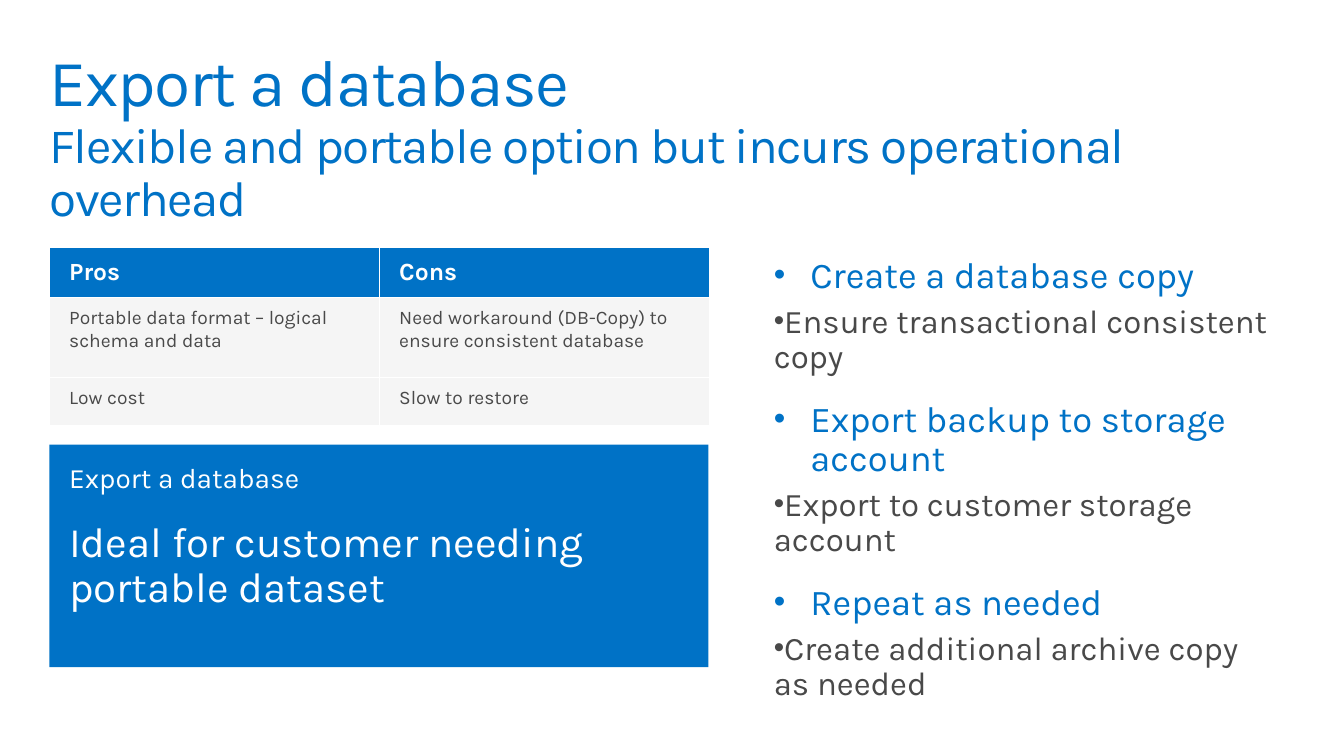
from lxml import etree
from pptx import Presentation
from pptx.dml.color import RGBColor
from pptx.enum.shapes import MSO_SHAPE
from pptx.enum.text import MSO_ANCHOR, MSO_AUTO_SIZE, PP_ALIGN
from pptx.oxml.ns import qn
from pptx.util import Pt

PX = 9144
FONT = "Karla"
BLUE = RGBColor(0x00, 0x72, 0xC6)
GRAY = RGBColor(0x49, 0x49, 0x49)
PALE = RGBColor(0xF5, 0xF5, 0xF5)
WHITE = RGBColor(0xFF, 0xFF, 0xFF)
RECT = MSO_SHAPE.RECTANGLE
TOP, MIDDLE = MSO_ANCHOR.TOP, MSO_ANCHOR.MIDDLE
LEFT = PP_ALIGN.LEFT
NO_FIT = MSO_AUTO_SIZE.NONE


def write(p, text, size, color, bold=False, line=0.9, before=0, after=0, spacing=None):
    p.alignment = LEFT
    p.line_spacing = line
    p.space_before, p.space_after = Pt(before), Pt(after)
    r = p.add_run()
    r.text = text
    r.font.name, r.font.size, r.font.bold = FONT, Pt(size), bold
    r.font.color.rgb = color
    if spacing is not None:
        r.font._element.set("spc", str(spacing))


def frame(tf, left, top, right, bottom):
    tf.word_wrap = True
    tf.auto_size = NO_FIT
    tf.vertical_anchor = TOP
    tf.margin_left, tf.margin_top = left * PX, top * PX
    tf.margin_right, tf.margin_bottom = right * PX, bottom * PX


prs = Presentation()
prs.slide_width, prs.slide_height = 1360 * PX, 765 * PX
s = prs.slides.add_slide(prs.slide_layouts[5])

title = s.shapes.title
title.left, title.top = 40 * PX, 40 * PX
title.width, title.height = 1244 * PX, 57 * PX
frame(title.text_frame, 10, 10, 10, 10)
p = title.text_frame.paragraphs[0]
write(p, "Export a database", 48, BLUE, spacing=-100)
p.add_line_break()
write(p, "Flexible and portable option but incurs operational overhead", 36, BLUE, spacing=-100)

steps = [
    ("Create a database copy", "Ensure transactional consistent copy"),
    ("Export backup to storage account", "Export to customer storage account"),
    ("Repeat as needed", "Create additional archive copy as needed"),
]
body = s.shapes.add_textbox(763 * PX, 250 * PX, 542 * PX, 483 * PX)
tf = body.text_frame
frame(tf, 20, 10, 20, 10)
for i, step in enumerate(steps):
    for level, text in enumerate(step):
        p = tf.add_paragraph() if i or level else tf.paragraphs[0]
        p.level = level
        if level:
            write(p, text, 24, GRAY, before=6.1, after=6.1)
        else:
            write(p, text, 26.5, BLUE, before=12.2 if i else 5.3)
        pPr = p._p.get_or_add_pPr()
        pPr.set("marL", str((37, 0)[level] * PX))
        pPr.set("indent", str((-37, -26)[level] * PX))
        etree.SubElement(pPr, qn("a:buSzPct")).set("val", "90000")
        etree.SubElement(pPr, qn("a:buFont")).set("typeface", "Arial")
        etree.SubElement(pPr, qn("a:buChar")).set("char", "•")

rows = [
    ("Pros", "Cons"),
    ("Portable data format – logical schema and data",
     "Need workaround (DB-Copy) to ensure consistent database"),
    ("Low cost", "Slow to restore"),
]
heights = [51, 81, 49]
table = s.shapes.add_table(3, 2, 50 * PX, 250 * PX, 668 * PX, sum(heights) * PX).table
for col in table.columns:
    col.width = 334 * PX
for i, row in enumerate(rows):
    table.rows[i].height = heights[i] * PX
    for j, text in enumerate(row):
        cell = table.cell(i, j)
        cell.margin_left = cell.margin_right = 20 * PX
        cell.margin_top = cell.margin_bottom = 10 * PX
        cell.vertical_anchor = TOP if i else MIDDLE
        tcPr = cell._tc.get_or_add_tcPr()
        for side in ("a:lnL", "a:lnR", "a:lnT", "a:lnB"):
            ln = etree.SubElement(tcPr, qn(side), w="12700")
            fill = etree.SubElement(ln, qn("a:solidFill"))
            etree.SubElement(fill, qn("a:srgbClr"), val=str(WHITE))
        cell.fill.solid()
        cell.fill.fore_color.rgb = PALE if i else BLUE
        p = cell.text_frame.paragraphs[0]
        if i:
            write(p, text, 14, GRAY, line=1.0)
        else:
            write(p, text, 18, WHITE, bold=True, line=1.0)

summary = s.shapes.add_shape(RECT, 50 * PX, 450 * PX, 667 * PX, 225 * PX)
summary.shadow.inherit = False
summary.fill.solid()
summary.fill.fore_color.rgb = BLUE
summary.line.fill.background()
tf = summary.text_frame
frame(tf, 20, 20, 20, 16)
write(tf.paragraphs[0], "Export a database", 20.4, WHITE)
write(tf.add_paragraph(), "Ideal for customer needing portable dataset", 30.6, WHITE, before=19)

prs.save("out.pptx")
